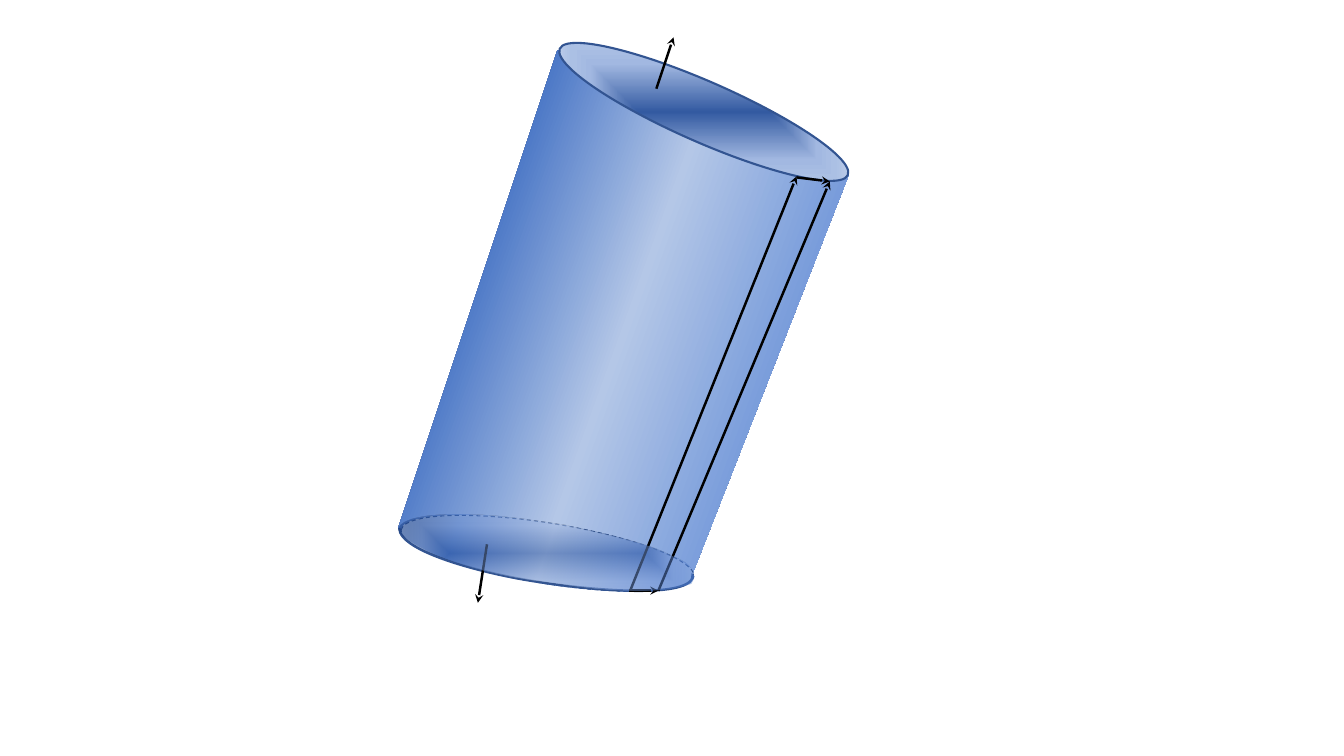
"""Draw a slanted, shaded cylinder with surface vectors."""
from dataclasses import dataclass
from math import cos, radians, sin
from typing import Optional

from pptx import Presentation
from pptx.dml.color import RGBColor
from pptx.enum.dml import MSO_LINE
from pptx.enum.shapes import MSO_CONNECTOR, MSO_SHAPE
from pptx.oxml import parse_xml
from pptx.oxml.ns import nsdecls, qn
from pptx.util import Inches, Pt

Point = tuple[float, float]
Segment = tuple[Point, ...]

CELL = Inches(1)
COLUMNS, ROWS = 13.33, 7.5
BLANK_LAYOUT = 6
DASH = MSO_LINE.DASH
OVAL = MSO_SHAPE.OVAL
STRAIGHT = MSO_CONNECTOR.STRAIGHT

BLACK = RGBColor(0x00, 0x00, 0x00)
RIM_BLUE = RGBColor(0x32, 0x54, 0x91)
NAVY = RGBColor(0x00, 0x20, 0x60)
BLUE = RGBColor(0x44, 0x72, 0xC4)
PALE_BLUE = RGBColor(0xB4, 0xC7, 0xE7)
BRIGHT_BLUE = RGBColor(0x3A, 0x6F, 0xCE)
CAP_DARK = RGBColor(0x33, 0x5A, 0xA1)
CAP_MID = RGBColor(0xA2, 0xB8, 0xE1)
CAP_LIGHT = RGBColor(0xAB, 0xC0, 0xE4)
CAP_EDGE = RGBColor(0xC7, 0xD5, 0xED)

LINEAR = '<a:lin ang="0" scaled="0"/>'
FROM_CENTRE = ('<a:path path="shape"><a:fillToRect l="50000" t="50000" '
               'r="50000" b="50000"/></a:path>')


@dataclass(frozen=True)
class Gradient:
    """Colour stops in percent, their direction and their opacity."""
    stops: tuple[tuple[int, RGBColor], ...]
    direction: str
    opacity: int = 100


@dataclass(frozen=True)
class Cap:
    """An elliptical end of the cylinder."""
    left: float
    top: float
    width: float
    height: float
    rotation: float
    line_width: float
    dash: Optional[MSO_LINE] = None


@dataclass(frozen=True)
class Outline:
    """A tilted path of lines (one point) and cubic curves (three points)."""
    tilt: float
    start: Point
    segments: tuple[Segment, ...]
    closed: bool = True


@dataclass(frozen=True)
class Arrow:
    """A vector between two grid points."""
    start: Point
    end: Point


SIDE_STOPS = ((0, NAVY), (23, BLUE), (50, PALE_BLUE), (100, BRIGHT_BLUE))
SIDE_FILL = Gradient(SIDE_STOPS, LINEAR)
VEIL_FILL = Gradient(SIDE_STOPS, LINEAR, 50)
CAP_FILL = Gradient(
    ((0, CAP_DARK), (53, CAP_MID), (73, CAP_LIGHT), (100, CAP_EDGE)), FROM_CENTRE)

SIDE_TILT, BASE_TILT, TOP_TILT = 19.9, 9.1, 23.7
SIDE = Outline(SIDE_TILT, (5.53, 0.5), (
    ((8.42, 1.73),), ((6.85, 5.74),), ((3.95, 5.24),), ((5.53, 0.5),)))
CAPS = [
    Cap(3.96, 5.19, 2.94, 0.6, BASE_TILT, 0.75, DASH),
    Cap(5.42, 0.81, 3.12, 0.6, TOP_TILT, 1.5),
]
FRONT_RIM = Outline(BASE_TILT, (6.87, 5.69), (
    ((6.92, 5.96), (5.8, 5.85), (5.32, 5.77)),
    ((4.84, 5.7), (3.96, 5.48), (3.96, 5.24)),
), closed=False)
VEIL = Outline(SIDE_TILT, (4.72, 5.11), (
    ((4.99, 5.12), (5.19, 5.15), (5.6, 5.21)),
    ((5.97, 5.3), (6.39, 5.37), (6.65, 5.51)),
    ((6.85, 5.59), (6.84, 5.63), (6.86, 5.67)),
    ((6.89, 5.72), (6.88, 5.74), (6.85, 5.79)),
    ((6.56, 5.9), (6.02, 5.87), (5.46, 5.78)),
    ((4.54, 5.68), (3.96, 5.37), (3.95, 5.25)),
    ((4.01, 5.07), (4.67, 5.11), (4.72, 5.11)),
))
ARROWS = [
    Arrow((6.51, 0.88), (6.68, 0.37)),
    Arrow((6.25, 5.86), (7.9, 1.75)),
    Arrow((6.53, 5.86), (8.23, 1.8)),
    Arrow((6.24, 5.86), (6.53, 5.86)),
    Arrow((7.9, 1.76), (8.23, 1.8)),
    Arrow((4.83, 5.4), (4.74, 5.98)),
]


def grid(cells: float) -> int:
    """Convert grid cells to slide units."""
    return round(cells * CELL)


def rotate(point: Point, degrees: float) -> Point:
    """Turn a point clockwise about the slide's corner."""
    x, y = point
    c, s = cos(radians(degrees)), sin(radians(degrees))
    return x * c - y * s, x * s + y * c


def set_gradient(sp, gradient: Gradient) -> None:
    """Fill a shape with a gradient."""
    stops = "".join(
        f'<a:gs pos="{pos * 1000}"><a:srgbClr val="{color}">'
        f'<a:alpha val="{gradient.opacity * 1000}"/></a:srgbClr></a:gs>'
        for pos, color in gradient.stops)
    fill = parse_xml(f'<a:gradFill {nsdecls("a")} rotWithShape="1"><a:gsLst>{stops}'
                     f'</a:gsLst>{gradient.direction}</a:gradFill>')
    sp.fill.background()
    spPr = sp._element.spPr
    spPr.replace(spPr.find(qn("a:noFill")), fill)


def set_line(sp, color: RGBColor, width: float) -> None:
    """Give a shape or connector a plain line."""
    sp.line.color.rgb = color
    sp.line.width = Pt(width)


def add_outline(shapes, outline: Outline):
    """Add a freeform whose own axes are tilted but whose points stay in place."""
    anchors = [outline.start] + [segment[-1] for segment in outline.segments]
    xs, ys = zip(*(rotate(p, -outline.tilt) for p in anchors))
    middle = (min(xs) + max(xs)) / 2, (min(ys) + max(ys)) / 2
    centre = rotate(middle, outline.tilt)

    def place(point: Point) -> tuple[int, int]:
        x, y = rotate(point, -outline.tilt)
        return grid(x + centre[0] - middle[0]), grid(y + centre[1] - middle[1])

    start, *ends = map(place, anchors)
    builder = shapes.build_freeform(*start)
    builder.add_line_segments(ends, close=outline.closed)
    sp = builder.convert_to_shape()
    lines = list(sp._element.iter(qn("a:lnTo")))
    for line, segment in zip(lines, outline.segments):
        if len(segment) == 3:
            points = "".join(f'<a:pt x="{x - sp.left}" y="{y - sp.top}"/>'
                             for x, y in map(place, segment))
            curve = parse_xml(f'<a:cubicBezTo {nsdecls("a")}>{points}</a:cubicBezTo>')
            line.getparent().replace(line, curve)
    sp.rotation = outline.tilt
    sp.shadow.inherit = False
    sp.fill.background()
    sp.line.fill.background()
    return sp


def add_cap(shapes, cap: Cap) -> None:
    """Add one end of the cylinder."""
    sp = shapes.add_shape(OVAL, *map(grid, (cap.left, cap.top, cap.width, cap.height)))
    sp.rotation = cap.rotation
    sp.shadow.inherit = False
    set_gradient(sp, CAP_FILL)
    set_line(sp, RIM_BLUE, cap.line_width)
    if cap.dash:
        sp.line.dash_style = cap.dash


def add_arrow(shapes, arrow: Arrow) -> None:
    """Add one vector with a stealth head."""
    cxn = shapes.add_connector(STRAIGHT, *map(grid, arrow.start + arrow.end))
    set_line(cxn, BLACK, 1.75)
    spPr = cxn._element.spPr
    spPr.find(qn("a:ln")).append(parse_xml(f'<a:tailEnd {nsdecls("a")} type="stealth"/>'))
    spPr.append(parse_xml(f'<a:effectLst {nsdecls("a")}/>'))


def main() -> None:
    """Build and save the slide."""
    prs = Presentation()
    prs.slide_width, prs.slide_height = grid(COLUMNS), grid(ROWS)
    shapes = prs.slides.add_slide(prs.slide_layouts[BLANK_LAYOUT]).shapes
    set_gradient(add_outline(shapes, SIDE), SIDE_FILL)
    for cap in CAPS:
        add_cap(shapes, cap)
    set_line(add_outline(shapes, FRONT_RIM), RIM_BLUE, 1.75)
    for arrow in ARROWS:
        add_arrow(shapes, arrow)
    set_gradient(add_outline(shapes, VEIL), VEIL_FILL)
    prs.save("out.pptx")


if __name__ == "__main__":
    main()
